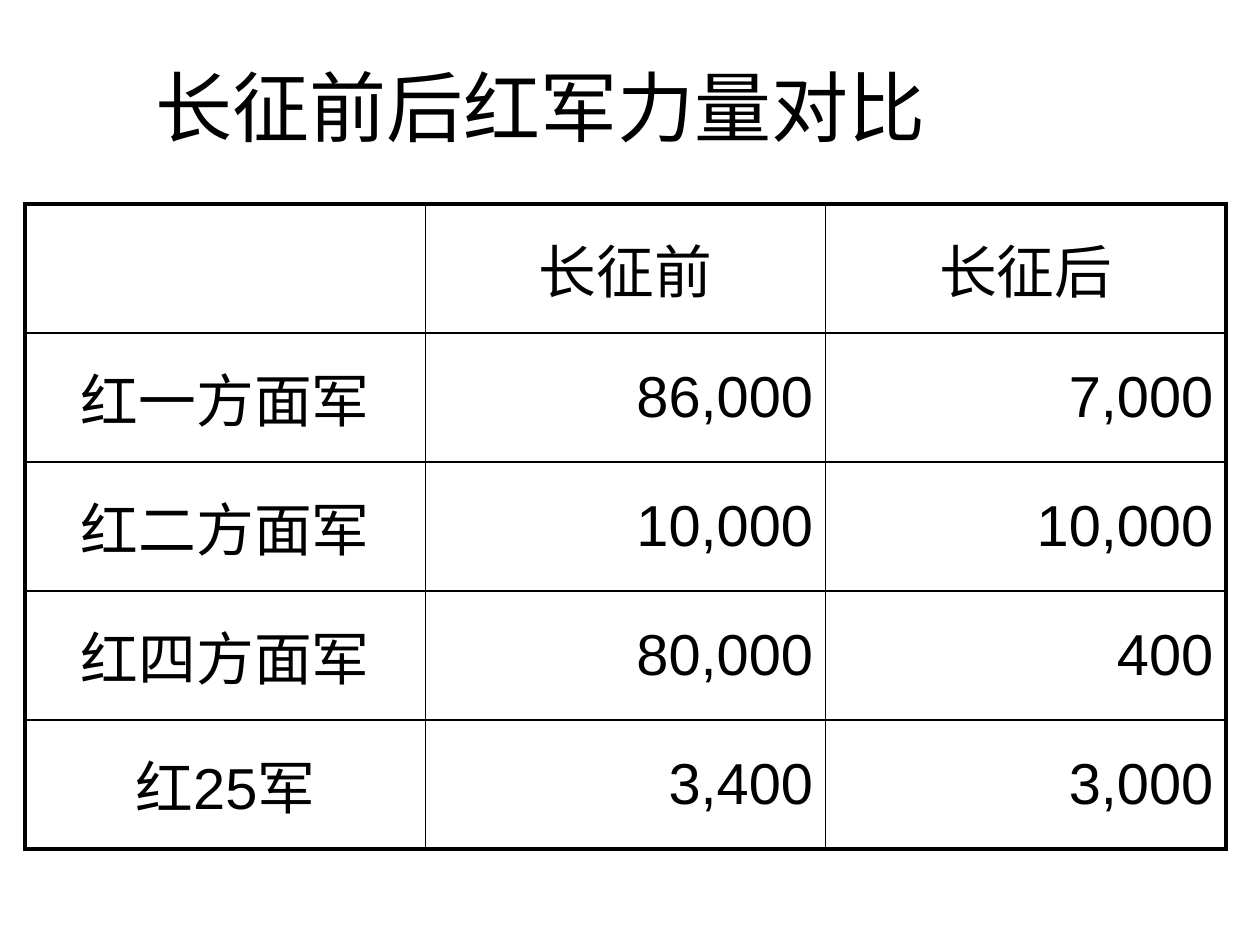
from lxml import etree
from pptx import Presentation
from pptx.dml.color import RGBColor
from pptx.enum.text import MSO_ANCHOR, PP_ALIGN
from pptx.oxml.ns import qn
from pptx.util import Inches, Pt

CENTER, RIGHT = PP_ALIGN.CENTER, PP_ALIGN.RIGHT
MIDDLE = MSO_ANCHOR.MIDDLE
BLACK = RGBColor(0x00, 0x00, 0x00)
WHITE = RGBColor(0xFF, 0xFF, 0xFF)

TITLE = "长征前后红军力量对比"
STRENGTH = [
    ["", "长征前", "长征后"],
    ["红一方面军", "86,000", "7,000"],
    ["红二方面军", "10,000", "10,000"],
    ["红四方面军", "80,000", "400"],
    ["红25军", "3,400", "3,000"],
]


class SlideBuilder:
    font_name = "Arial"
    title_size = Pt(44)
    cell_size = Pt(33)
    outer_line = Pt(2.25)
    inner_line = Pt(1)

    def __init__(self, deck):
        self.page = deck.slides.add_slide(deck.slide_layouts[6])
        background = self.page.background.fill
        background.solid()
        background.fore_color.rgb = WHITE

    def set_text(self, text_frame, text, size, align):
        text_frame.text = text
        para = text_frame.paragraphs[0]
        para.alignment = align
        para.font.size = size
        for span in para.runs:
            span.font.name = self.font_name
            span.font.size = size
            span.font.color.rgb = BLACK

    def title(self, text, left, top, width, height):
        box = self.page.shapes.add_textbox(left, top, width, height)
        box.text_frame.word_wrap = True
        box.text_frame.vertical_anchor = MIDDLE
        self.set_text(box.text_frame, text, self.title_size, CENTER)

    def border(self, cell, edges):
        """Draw the four sides; edges tells which lie on the table's outline."""
        properties = cell._tc.get_or_add_tcPr()
        for side in "LRTB":
            width = self.outer_line if edges[side] else self.inner_line
            line = etree.SubElement(properties, qn(f"a:ln{side}"), w=str(int(width)))
            fill = etree.SubElement(line, qn("a:solidFill"))
            etree.SubElement(fill, qn("a:srgbClr"), val=str(BLACK))

    def table(self, rows, left, top, width, height):
        row_count, column_count = len(rows), len(rows[0])
        frame = self.page.shapes.add_table(
            row_count, column_count, left, top, width, height)
        grid = frame.table
        grid.first_row = grid.horz_banding = False
        for r, row in enumerate(rows):
            for c, text in enumerate(row):
                cell = grid.cell(r, c)
                cell.vertical_anchor = MIDDLE
                self.border(cell, {
                    "L": c == 0, "R": c == column_count - 1,
                    "T": r == 0, "B": r == row_count - 1})
                cell.fill.background()
                align = RIGHT if r and c else CENTER
                self.set_text(cell.text_frame, text, self.cell_size, align)


def main():
    deck = Presentation()
    deck.slide_width, deck.slide_height = Inches(10), Inches(7.5)
    builder = SlideBuilder(deck)

    # Heading
    builder.title(TITLE, Inches(0.2), Inches(0.21), Inches(8.19), Inches(1.25))

    # Troop numbers before and after the march
    builder.table(STRENGTH, Inches(0.2), Inches(1.62), Inches(9.53), Inches(5.12))

    deck.save("out.pptx")


if __name__ == "__main__":
    main()
